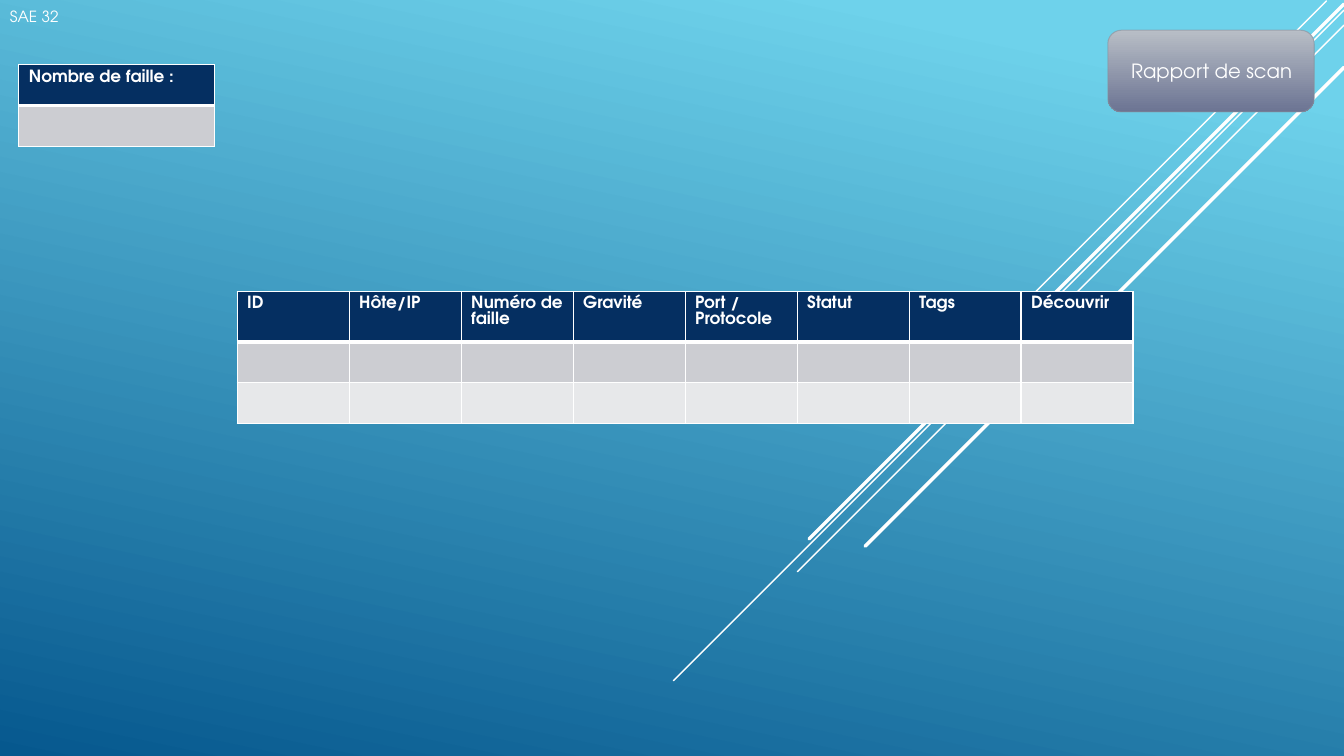
import pptx
import pptx.util
import pptx.dml.color
import pptx.enum.shapes
import pptx.enum.text
import pptx.oxml.ns
from lxml import etree

Pt = pptx.util.Pt
qn = pptx.oxml.ns.qn
FONT = "TeX Gyre Adventor"
COLORS = {
    "white": "FFFFFF", "sky": "6ED2EB", "sea": "06588E", "navy": "052F61",
    "band_dark": "CCCDD2", "band_light": "E7E8EA",
    "button_top": "B8BEC6", "button_bottom": "6C7493", "button_edge": "89919C",
}
# Diagonals: start x, start y, horizontal run, line width
DIAGONALS = [
    (947.5, 0.7, 300, 1),
    (960, 7.2, 479, 1),
    (960, 18, 390.4, 1),
    (960, 2.9, 382, 2.5),
    (960, 48.2, 342, 2.5),
]
HEADERS = ["ID", "Hôte/IP", "Numéro de faille", "Gravité",
           "Port / Protocole", "Statut", "Tags", "Découvrir"]


def rgb(name):
    return pptx.dml.color.RGBColor.from_string(COLORS[name])


def set_gradient(fill, stops, angle):
    """Fill with (position, colour) stops; angle runs clockwise."""
    fill.gradient()
    fill.gradient_angle = 360 - angle
    for stop, (position, color) in zip(fill.gradient_stops, stops):
        stop.position = position
        stop.color.rgb = rgb(color)


def add_run(p, text, size, bold=False):
    r = p.add_run()
    r.text = text
    r.font.name = FONT
    r.font.size = Pt(size)
    r.font.bold = bold
    r.font.color.rgb = rgb("white")


def add_label(s, text, box, size, anchor, align):
    tf = s.shapes.add_textbox(*map(Pt, box)).text_frame
    tf.word_wrap = True
    tf.vertical_anchor = anchor
    tf.paragraphs[0].alignment = align
    add_run(tf.paragraphs[0], text, size)


def add_diagonal(s, x, y, run, width):
    """Draw a 45 degree line down to the left."""
    line = s.shapes.add_connector(
        pptx.enum.shapes.MSO_CONNECTOR.STRAIGHT,
        Pt(x), Pt(y), Pt(x - run), Pt(y + run))
    line.line.color.rgb = rgb("white")
    line.line.width = Pt(width)
    line.line._get_or_add_ln().set("cap", "rnd")
    etree.SubElement(line._element.spPr, qn("a:effectLst"))


def set_borders(cell, top, bottom):
    tc_pr = cell._tc.get_or_add_tcPr()
    widths = {"lnL": 1, "lnR": 1, "lnT": top, "lnB": bottom}
    for i, (side, width) in enumerate(widths.items()):
        ln = etree.Element(qn("a:" + side), w=str(Pt(width)))
        fill = etree.SubElement(ln, qn("a:solidFill"))
        etree.SubElement(fill, qn("a:srgbClr"), val=COLORS["white"])
        tc_pr.insert(i, ln)


def add_grid(s, headers, bands, left, top, col_width, row_height):
    """Draw a header row above empty rows filled with the band colours."""
    fills = ["navy"] + bands
    table = s.shapes.add_table(
        len(fills), len(headers), Pt(left), Pt(top),
        Pt(col_width * len(headers)), Pt(row_height * len(fills))).table
    for col in table.columns:
        col.width = Pt(col_width)
    for i, color in enumerate(fills):
        table.rows[i].height = Pt(row_height)
        for j, header in enumerate(headers):
            cell = table.cell(i, j)
            cell.fill.solid()
            cell.fill.fore_color.rgb = rgb(color)
            set_borders(cell, 3 if i == 1 else 1, 3 if i == 0 else 1)
            if i == 0:
                add_run(cell.text_frame.paragraphs[0], header, 12, True)


def add_button(s, left, top, width, height):
    sp = s.shapes.add_shape(
        pptx.enum.shapes.MSO_SHAPE.ROUNDED_RECTANGLE,
        Pt(left), Pt(top), Pt(width), Pt(height))
    sp.shadow.inherit = False
    set_gradient(sp.fill, [(0, "button_top"), (1, "button_bottom")], 90)
    sp.line.color.rgb = rgb("button_edge")
    sp.line.width = Pt(0.75)
    edge = sp.line._get_or_add_ln().find(".//" + qn("a:srgbClr"))
    etree.SubElement(edge, qn("a:alpha"), val="60000")


def main():
    prs = pptx.Presentation()
    prs.slide_width, prs.slide_height = Pt(960), Pt(540)
    s = prs.slides.add_slide(prs.slide_layouts[6])
    anchors = pptx.enum.text.MSO_ANCHOR
    aligns = pptx.enum.text.PP_ALIGN

    # Background and diagonals
    set_gradient(s.background.fill, [(0.1, "sky"), (1, "sea")], 102)
    for diagonal in DIAGONALS:
        add_diagonal(s, *diagonal)

    # Title
    add_label(s, "SAE 32", (0, -5.8, 62.6, 28), 11, anchors.BOTTOM, aligns.LEFT)

    # Tables
    add_grid(s, ["Nombre de faille :"], ["band_dark"], 13.4, 46.2, 139.8, 29.2)
    add_grid(s, HEADERS, ["band_dark", "band_light"], 169.4, 208.2, 80, 29.2)

    # Report button
    add_button(s, 791.3, 21.6, 147.5, 58.4)
    add_label(s, "Rapport de scan", (797.8, 38.9, 135.4, 24.5), 14,
              anchors.TOP, aligns.CENTER)

    prs.save("out.pptx")


if __name__ == "__main__":
    main()
